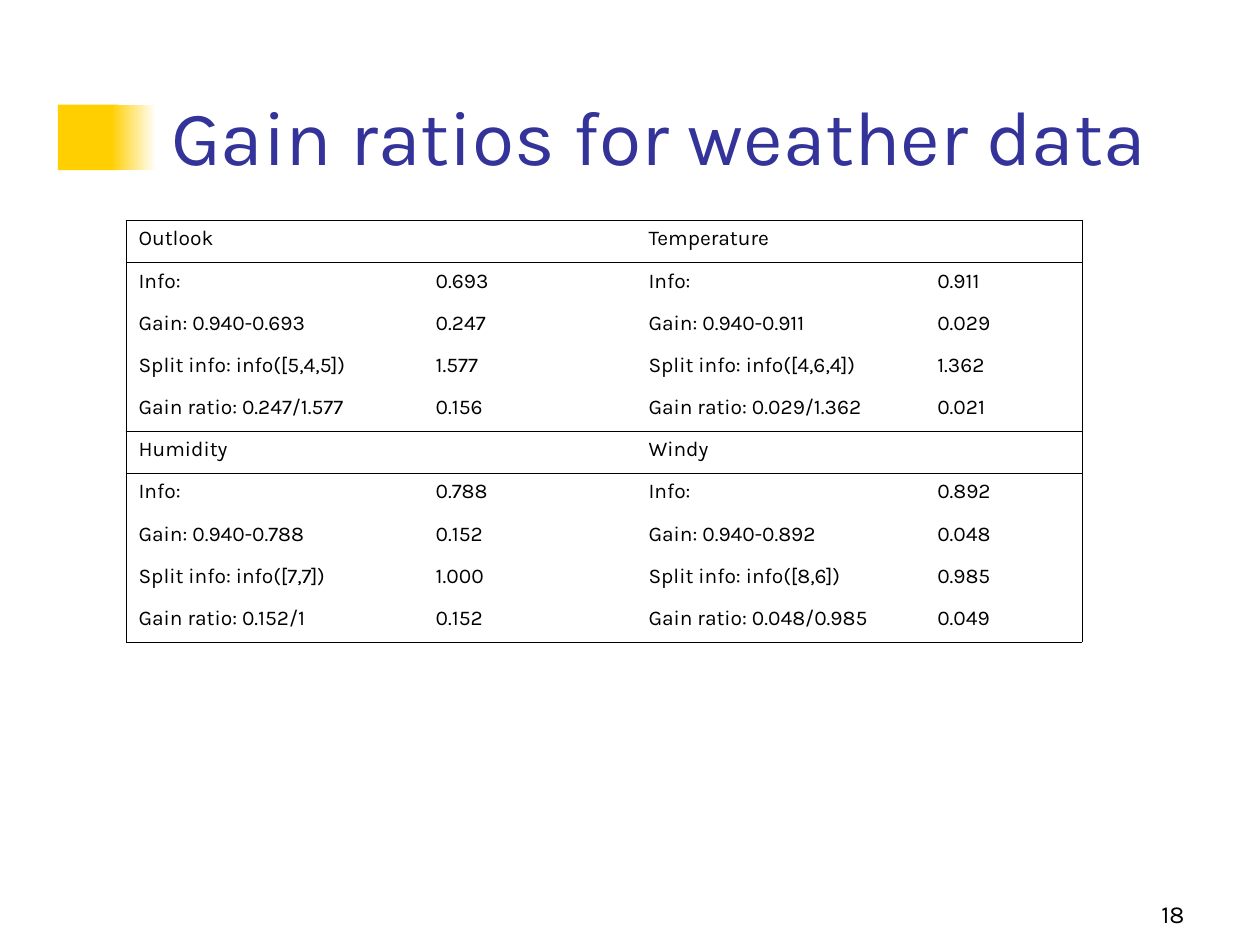
"""Build the slide that compares gain ratios for the weather data."""
from dataclasses import dataclass

from lxml import etree
from pptx import Presentation
from pptx.dml.color import RGBColor
from pptx.enum.shapes import MSO_SHAPE
from pptx.enum.text import MSO_ANCHOR, PP_ALIGN
from pptx.oxml.ns import qn
from pptx.util import Cm, Pt

RECTANGLE = MSO_SHAPE.RECTANGLE
BOTTOM = MSO_ANCHOR.BOTTOM
LEFT, RIGHT = PP_ALIGN.LEFT, PP_ALIGN.RIGHT


@dataclass(frozen=True)
class Theme:
    font: str = "Karla"
    title_color: str = "333399"
    text_color: str = "000000"
    accent: str = "FFCF01"
    paper: str = "FFFFFF"
    title_size: int = 44
    cell_size: int = 12
    number_size: int = 14
    border: float = 0.45


class SlideBuilder:
    def __init__(self, page, theme):
        self.page = page
        self.theme = theme

    def add_span(self, para, text, size, color, align=LEFT):
        para.alignment = align
        span = para.add_run()
        span.text = text
        formats = {"name": self.theme.font, "size": Pt(size), "bold": False}
        for name, value in formats.items():
            setattr(span.font, name, value)
        span.font.color.rgb = RGBColor.from_string(color)

    def text(self, frame, text, size, color, align=LEFT):
        box = self.page.shapes.add_textbox(*map(Cm, frame))
        for name, value in {"word_wrap": True, "vertical_anchor": BOTTOM}.items():
            setattr(box.text_frame, name, value)
        self.add_span(box.text_frame.paragraphs[0], text, size, color, align)

    def block(self, frame, fade=False):
        box = self.page.shapes.add_shape(RECTANGLE, *map(Cm, frame))
        box.shadow.inherit = False
        box.line.fill.background()
        if fade:
            box.fill.gradient()
            box.fill.gradient_angle = 180
            colors = (self.theme.paper, self.theme.accent)
            for stop, color in zip(box.fill.gradient_stops, colors):
                stop.color.rgb = RGBColor.from_string(color)
        else:
            box.fill.solid()
            box.fill.fore_color.rgb = RGBColor.from_string(self.theme.accent)

    def borders(self, cell, sides):
        properties = cell._tc.get_or_add_tcPr()
        for index, (side, shown) in enumerate(sides.items()):
            line = etree.Element(qn(f"a:ln{side}"), w=str(Pt(self.theme.border)))
            if shown:
                fill = etree.SubElement(line, qn("a:solidFill"))
                etree.SubElement(fill, qn("a:srgbClr"), val=self.theme.text_color)
            else:
                etree.SubElement(line, qn("a:noFill"))
            properties.insert(index, line)

    def table(self, left, top, widths, row_height, headings, rows):
        grid = [(headings[0], "", headings[1], "")] + rows
        last_row, last_column = len(grid) - 1, len(widths) - 1
        table = self.page.shapes.add_table(
            len(grid), len(widths), Cm(left), Cm(top),
            Cm(sum(widths)), Cm(row_height * len(grid))).table
        for name in ("first_row", "horz_banding"):
            setattr(table, name, False)
        for column, width in zip(table.columns, widths):
            column.width = Cm(width)
        for first in (0, 2):
            table.cell(0, first).merge(table.cell(0, first + 1))
        for r, values in enumerate(grid):
            table.rows[r].height = Cm(row_height)
            for c, value in enumerate(values):
                cell = table.cell(r, c)
                cell.fill.background()
                self.borders(cell, {
                    "L": c == 0,
                    "R": c + cell.span_width - 1 == last_column,
                    "T": r in (0, 1),
                    "B": r in (0, last_row),
                })
                if value:
                    self.add_span(cell.text_frame.paragraphs[0], value,
                                  self.theme.cell_size, self.theme.text_color)


TABLES = [
    (("Outlook", "Temperature"), [
        ("Info:", "0.693", "Info:", "0.911"),
        ("Gain: 0.940-0.693", "0.247", "Gain: 0.940-0.911", "0.029"),
        ("Split info: info([5,4,5])", "1.577", "Split info: info([4,6,4])", "1.362"),
        ("Gain ratio: 0.247/1.577", "0.156", "Gain ratio: 0.029/1.362", "0.021"),
    ]),
    (("Humidity", "Windy"), [
        ("Info:", "0.788", "Info:", "0.892"),
        ("Gain: 0.940-0.788", "0.152", "Gain: 0.940-0.892", "0.048"),
        ("Split info: info([7,7])", "1.000", "Split info: info([8,6])", "0.985"),
        ("Gain ratio: 0.152/1", "0.152", "Gain ratio: 0.048/0.985", "0.049"),
    ]),
]
COLUMN_WIDTHS = (5.99, 4.29, 5.82, 3.17)
ROW_HEIGHT = 0.85
TABLE_LEFT, TABLE_TOP = 2.54, 4.44


def main():
    deck = Presentation()
    deck.slide_width, deck.slide_height = Cm(25.4), Cm(19.05)
    theme = Theme()
    builder = SlideBuilder(deck.slides.add_slide(deck.slide_layouts[6]), theme)
    builder.block((1.17, 2.11, 1.22, 1.32))
    builder.block((2.24, 2.11, 0.91, 1.32), fade=True)
    builder.text((3.2, 1.7, 21.64, 2.08), "Gain ratios for weather data",
                 theme.title_size, theme.title_color)
    top = TABLE_TOP
    for headings, rows in TABLES:
        builder.table(TABLE_LEFT, top, COLUMN_WIDTHS, ROW_HEIGHT, headings, rows)
        top += ROW_HEIGHT * (len(rows) + 1)
    builder.text((18.85, 17.58, 5.28, 1.27), "18",
                 theme.number_size, theme.text_color, RIGHT)
    deck.save("out.pptx")


if __name__ == "__main__":
    main()
